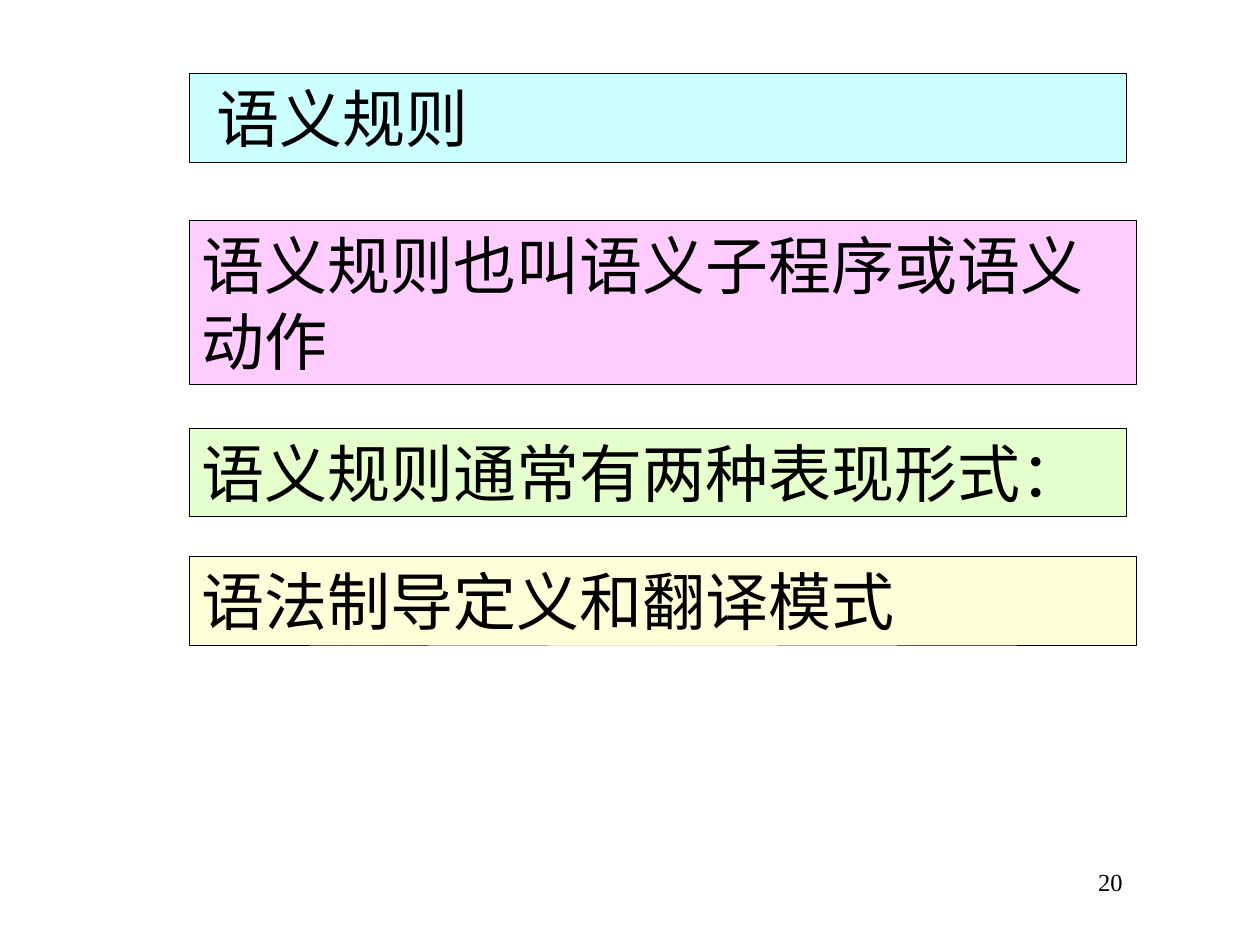
"""Build the slide on semantic rules as a column of coloured boxes."""
from dataclasses import dataclass

from pptx import Presentation
from pptx import util as u
from pptx.dml.color import RGBColor
from pptx.enum import shapes, text


@dataclass(frozen=True)
class Theme:
    """Colours, fonts and type sizes."""
    ink: str = "000000"
    cyan: str = "CCFFFF"
    pink: str = "FFCCFF"
    green: str = "E5FFCD"
    yellow: str = "FEFFD9"
    font: str = "Lato"
    number_font: str = "Times New Roman"
    size: int = 36
    number_size: int = 14
    line: float = 0.25


class Painter:
    """Hold the theme and the current page."""

    def __init__(self, theme, page):
        """Keep the style and the page to draw on."""
        self.theme = theme
        self.page = page

    def set_text(self, box, words, font, size, align, left=7.2, right=7.2):
        """Put one formatted paragraph in a box."""
        frame = box.text_frame
        frame.word_wrap = True
        frame.auto_size = text.MSO_AUTO_SIZE.NONE
        frame.vertical_anchor = text.MSO_ANCHOR.TOP
        frame.margin_left, frame.margin_right = u.Pt(left), u.Pt(right)
        frame.margin_top = frame.margin_bottom = u.Pt(3.6)
        para = frame.paragraphs[0]
        para.text = words
        para.alignment = align
        para.font.name = font
        para.font.size = u.Pt(size)
        para.font.color.rgb = RGBColor.from_string(self.theme.ink)

    def panel(self, box, words, colour, left=7.2):
        """Fill and outline a box, then set its heading-sized text."""
        box.fill.solid()
        box.fill.fore_color.rgb = RGBColor.from_string(colour)
        box.line.color.rgb = RGBColor.from_string(self.theme.ink)
        box.line.width = u.Pt(self.theme.line)
        self.set_text(box, words, self.theme.font, self.theme.size,
                      text.PP_ALIGN.LEFT, left=left)

    def title(self, words, colour, x, y, width, height):
        """Move and format the title placeholder."""
        box = self.page.shapes.title
        box.left, box.top, box.width, box.height = map(u.Pt, (x, y, width, height))
        self.panel(box, words, colour, left=15.5)

    def statement(self, words, colour, x, y, width, height):
        """Add a coloured rectangle with text."""
        box = self.page.shapes.add_shape(
            shapes.MSO_SHAPE.RECTANGLE, *map(u.Pt, (x, y, width, height)))
        box.shadow.inherit = False
        self.panel(box, words, colour)

    def number(self, words, x, y, width, height):
        """Add the page number."""
        box = self.page.shapes.add_textbox(*map(u.Pt, (x, y, width, height)))
        self.set_text(box, words, self.theme.number_font, self.theme.number_size,
                      text.PP_ALIGN.RIGHT, right=24.5)


def main():
    """Create and save the deck."""
    deck = Presentation()
    deck.slide_width, deck.slide_height = u.Pt(720), u.Pt(540)
    theme = Theme()
    painter = Painter(theme, deck.slides.add_slide(deck.slide_layouts[5]))

    left, narrow, wide, one_line, two_lines = 108, 535.5, 541.5, 50.5, 93.6
    painter.title("语义规则", theme.cyan, left, 42, narrow, one_line)
    statements = (
        ("语义规则也叫语义子程序或语义动作", theme.pink, 126, wide, two_lines),
        ("语义规则通常有两种表现形式：", theme.green, 244.8, narrow, one_line),
        ("语法制导定义和翻译模式", theme.yellow, 318, wide, one_line),
    )
    for words, colour, top, width, height in statements:
        painter.statement(words, colour, left, top, width, height)
    painter.number("20", 516, 492, 150, 36)
    deck.save("out.pptx")


if __name__ == "__main__":
    main()
